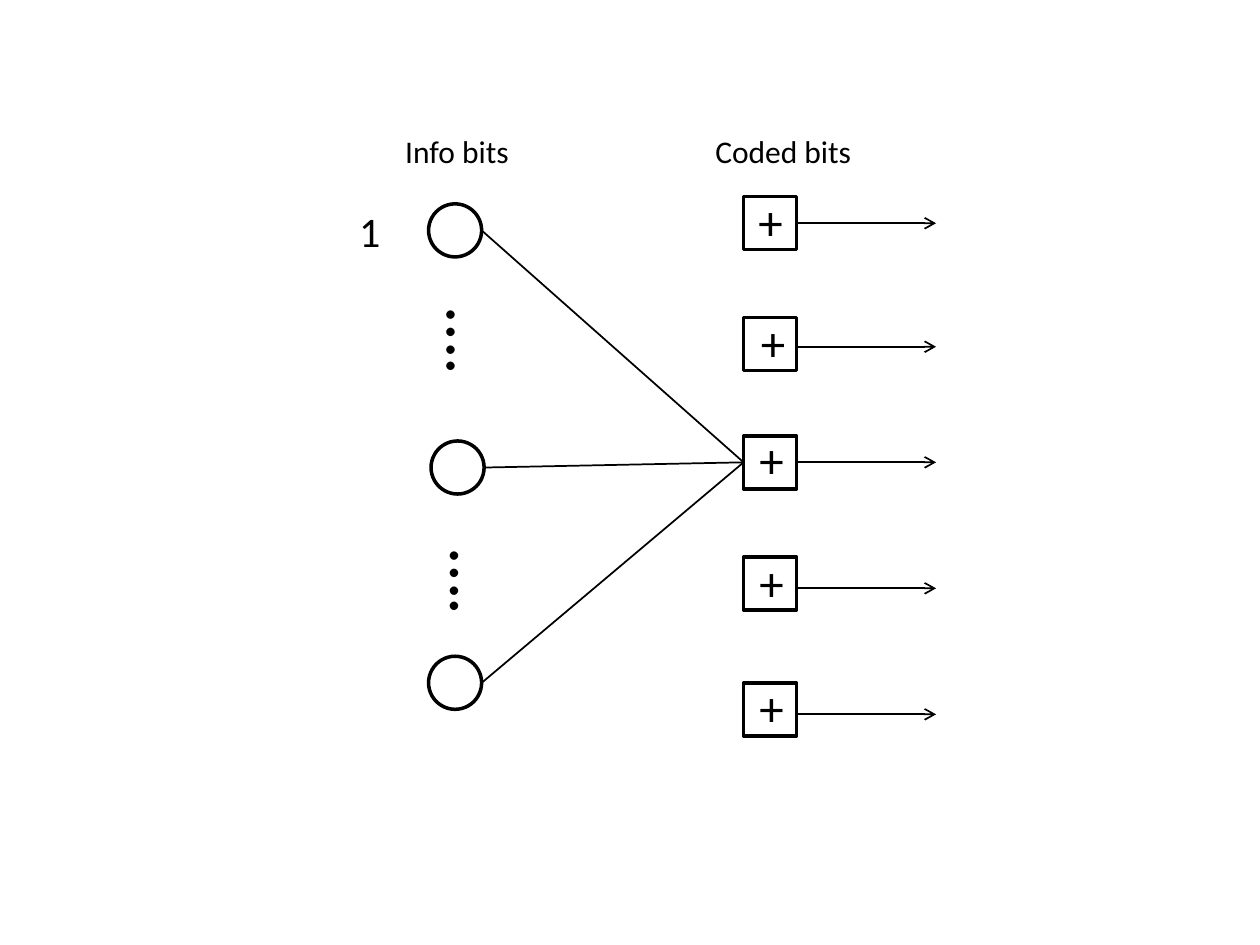
from lxml import etree
from pptx import Presentation
from pptx.dml.color import RGBColor
from pptx.enum.shapes import MSO_CONNECTOR, MSO_SHAPE
from pptx.enum.text import MSO_AUTO_SIZE
from pptx.oxml.ns import qn
from pptx.util import Cm, Pt

STRAIGHT = MSO_CONNECTOR.STRAIGHT
OVAL = MSO_SHAPE.OVAL
RECTANGLE = MSO_SHAPE.RECTANGLE
FIT_SHAPE = MSO_AUTO_SIZE.SHAPE_TO_FIT_TEXT
BLACK = "000000"
NODE = 1.07
SQUARE_X = 14.99
CHECK_Y = 9.32


def color(value):
    return RGBColor.from_string(value)


prs = Presentation()
prs.slide_width, prs.slide_height = Cm(25.4), Cm(19.05)
s = prs.slides.add_slide(prs.slide_layouts[6])

circles = [(8.64, 4.11), (8.69, 8.89), (8.64, 13.23)]
square_tops = [3.96, 6.4, 8.79, 11.23, 13.77]
nodes = [(OVAL, x, y) for x, y in circles]
nodes += [(RECTANGLE, SQUARE_X, y) for y in square_tops]
for kind, x, y in nodes:
    sp = s.shapes.add_shape(kind, Cm(x), Cm(y), Cm(NODE), Cm(NODE))
    sp.shadow.inherit = False
    sp.fill.background()
    sp.line.color.rgb = color(BLACK)
    sp.line.width = Pt(2)

plus_signs = [(15.04, 3.73), (15.09, 6.17), (15.06, 8.53), (15.06, 11.02), (15.06, 13.54)]
labels = [("+", x, y, 1.02, 1.45, 28, 0) for x, y in plus_signs]
labels += [
    ("….", 8.64, 5.92, 1.85, 1.96, 40, 90),
    ("….", 8.71, 10.77, 1.85, 1.96, 40, 90),
    ("1", 6.99, 4.01, 0.94, 1.27, 24, 0),
    ("Info bits", 7.92, 2.54, 2.62, 1.02, 18, 0),
    ("Coded bits", 14.17, 2.54, 3.28, 1.02, 18, 0),
]
for text, x, y, w, h, size, angle in labels:
    sp = s.shapes.add_textbox(Cm(x), Cm(y), Cm(w), Cm(h))
    sp.rotation = angle
    tf = sp.text_frame
    tf.word_wrap = False
    tf.auto_size = FIT_SHAPE
    r = tf.paragraphs[0].add_run()
    r.text = text
    r.font.name = "Calibri"
    r.font.size = Pt(size)
    r.font.color.rgb = color(BLACK)

lines = [(x + NODE, y + NODE / 2, SQUARE_X, CHECK_Y, False) for x, y in circles]
arrow_levels = [4.5, 6.99, CHECK_Y, 11.86, 14.4]
lines += [(16.07, y, 18.87, y, True) for y in arrow_levels]
for x1, y1, x2, y2, has_arrow in lines:
    cxn = s.shapes.add_connector(STRAIGHT, Cm(x1), Cm(y1), Cm(x2), Cm(y2))
    cxn.line.color.rgb = color(BLACK)
    cxn.line.width = Pt(1)
    if has_arrow:
        etree.SubElement(cxn.line._get_or_add_ln(), qn("a:tailEnd"), type="arrow")
    etree.SubElement(cxn._element.spPr, qn("a:effectLst"))

prs.save("out.pptx")
